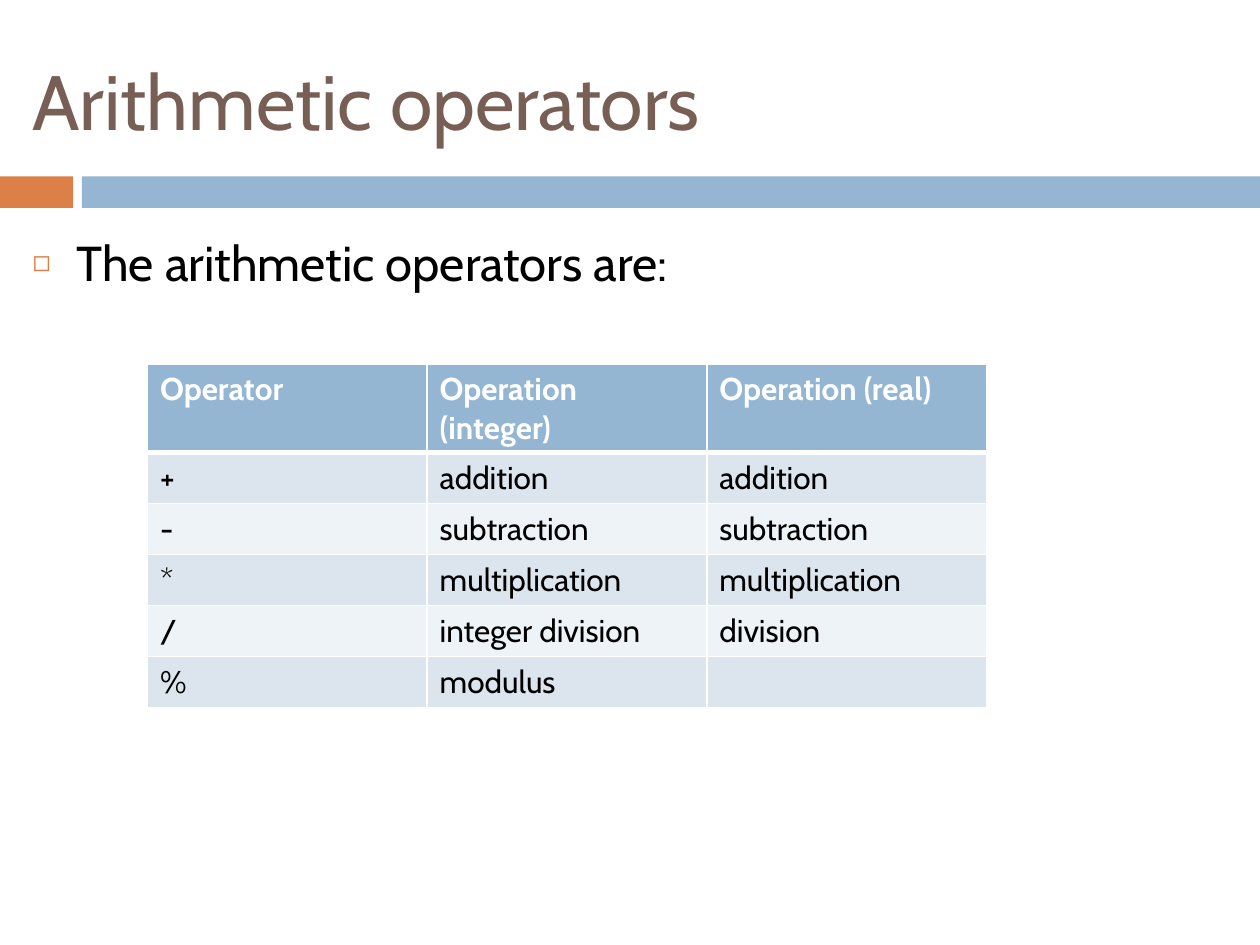
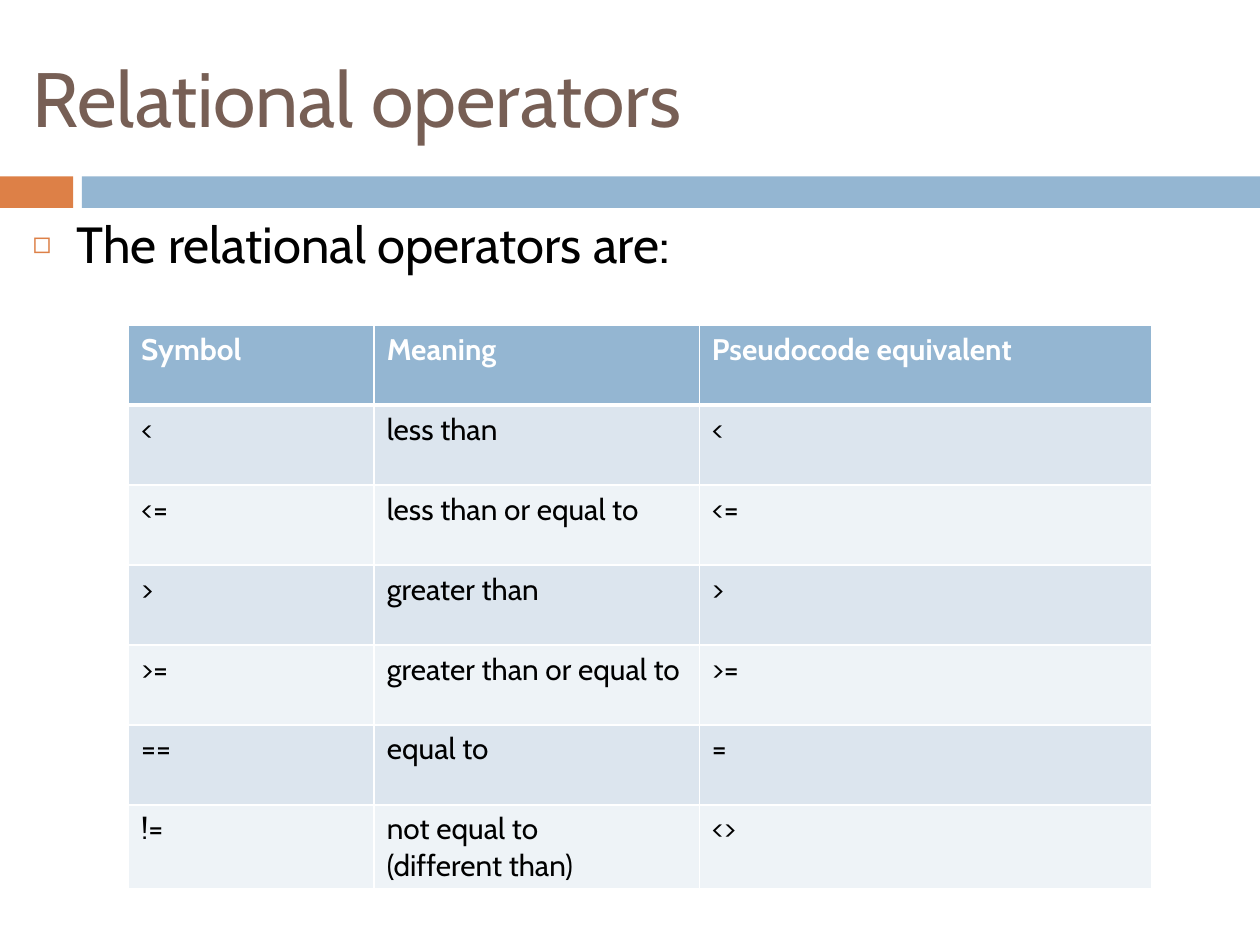
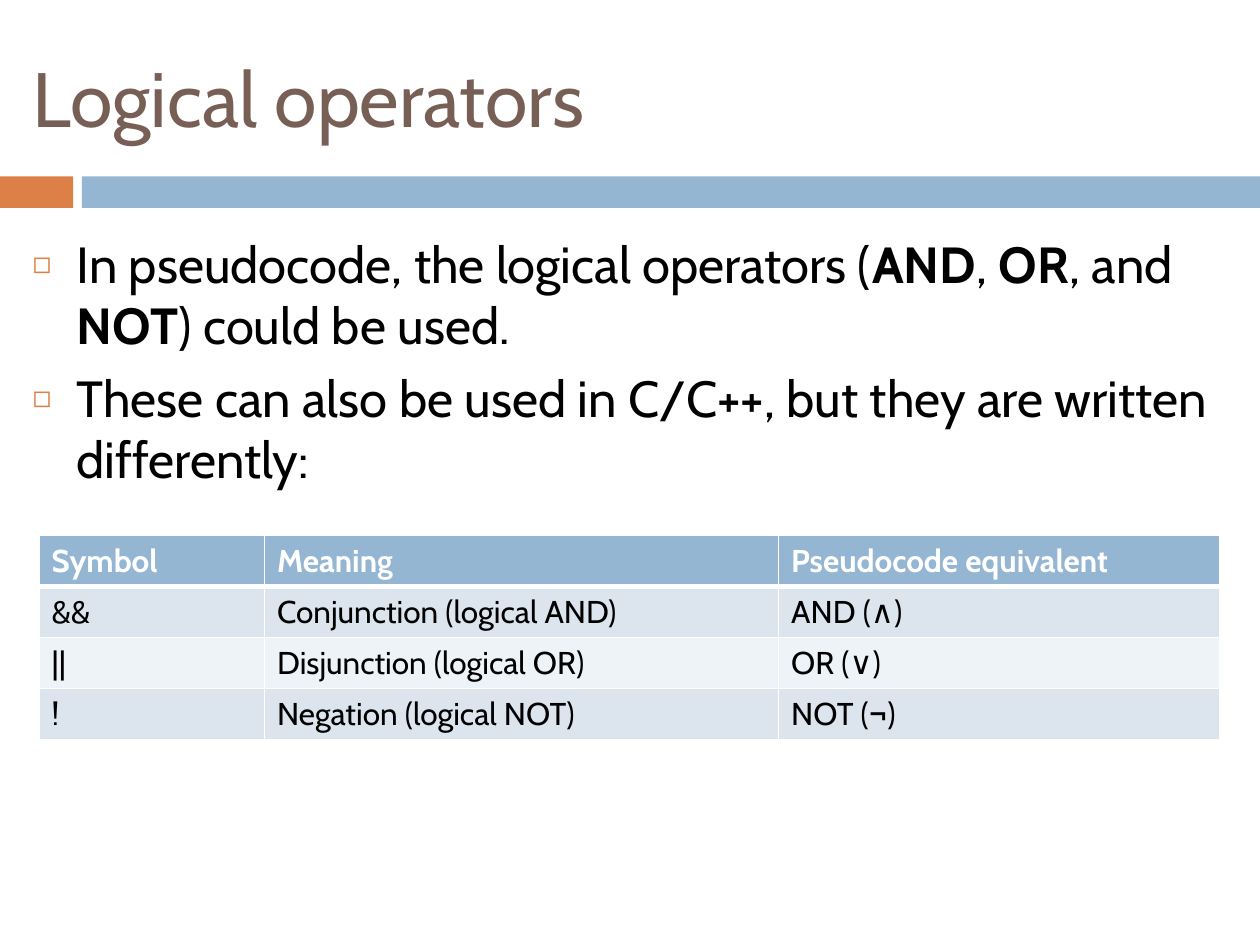
from lxml.etree import SubElement
from pptx import Presentation
from pptx.dml.color import RGBColor
from pptx.enum.shapes import MSO_SHAPE
from pptx.enum.text import MSO_ANCHOR
from pptx.oxml.ns import qn
from pptx.util import Inches, Pt

ORANGE = RGBColor(0xDD, 0x80, 0x47)
BLUE = RGBColor(0x94, 0xB6, 0xD2)
BROWN = RGBColor(0x77, 0x5F, 0x55)
DARK_ROW = RGBColor(0xDC, 0xE5, 0xEE)
LIGHT_ROW = RGBColor(0xEE, 0xF3, 0xF7)
WHITE = RGBColor(0xFF, 0xFF, 0xFF)
BLACK = RGBColor(0, 0, 0)

FONT = "Cabin"
WIDTH, HEIGHT = 10, 7.5
MARGIN = 0.16
BODY_WIDTH = 9.61
BAND_TOP, BAND_HEIGHT = 1.4, 0.25
BANDS = [(0, 0.58, ORANGE), (0.65, WIDTH - 0.65, BLUE)]

SLIDES = [
    {
        "title": "Arithmetic operators", "title_top": 0.25,
        "points": ["The arithmetic operators are:"],
        "points_top": 1.8, "points_size": 28,
        "corner": (1.17, 2.89), "columns": (2.22, 2.22, 2.22),
        "row_height": 0.405, "table_size": 18,
        "rows": [
            ("Operator", "Operation (integer)", "Operation (real)"),
            ("+", "addition", "addition"),
            ("-", "subtraction", "subtraction"),
            ("*", "multiplication", "multiplication"),
            ("/", "integer division", "division"),
            ("%", "modulus", ""),
        ],
    },
    {
        "title": "Relational operators", "title_top": 0.23,
        "points": ["The relational operators are:"],
        "points_top": 1.64, "points_size": 29,
        "corner": (1.02, 2.58), "columns": (1.95, 2.58, 3.59),
        "row_height": 0.635, "table_size": 17,
        "rows": [
            ("Symbol", "Meaning", "Pseudocode equivalent"),
            ("<", "less than", "<"),
            ("<=", "less than or equal to", "<="),
            (">", "greater than", ">"),
            (">=", "greater than or equal to", ">="),
            ("==", "equal to", "="),
            ("!=", "not equal to\n(different than)", "<>"),
        ],
    },
    {
        "title": "Logical operators", "title_top": 0.23,
        "points": [
            "In pseudocode, the logical operators (**AND**, **OR**, and **NOT**) could be used.",
            "These can also be used in C/C++, but they are written differently:",
        ],
        "points_top": 1.8, "points_size": 29,
        "corner": (0.31, 4.25), "columns": (1.79, 4.08, 3.5),
        "row_height": 0.405, "table_size": 18,
        "rows": [
            ("Symbol", "Meaning", "Pseudocode equivalent"),
            ("&&", "Conjunction (logical AND)", "AND (∧)"),
            ("||", "Disjunction (logical OR)", "OR (∨)"),
            ("!", "Negation (logical NOT)", "NOT (**¬**)"),
        ],
    },
]


def write(paragraph, text, size, color, bold=False):
    for line_number, line in enumerate(text.split("\n")):
        if line_number:
            paragraph.add_line_break()
        for part_number, part in enumerate(line.split("**")):
            if not part:
                continue
            run = paragraph.add_run()
            run.text = part
            look = {"name": FONT, "size": Pt(size), "bold": bold or part_number % 2 == 1}
            for key, value in look.items():
                setattr(run.font, key, value)
            run.font.color.rgb = color


def add_bullet(paragraph):
    properties = paragraph._p.get_or_add_pPr()
    properties.set("marL", str(Inches(0.35)))
    properties.set("indent", str(-Inches(0.35)))
    bullet_color = SubElement(properties, qn("a:buClr"))
    SubElement(bullet_color, qn("a:srgbClr"), val=str(ORANGE))
    SubElement(properties, qn("a:buSzPct"), val="60000")
    SubElement(properties, qn("a:buFont"), typeface=FONT)
    SubElement(properties, qn("a:buChar"), char="◻")


def add_frame(slide, left, top, width, height, anchor):
    frame = slide.shapes.add_textbox(*map(Inches, (left, top, width, height))).text_frame
    frame.word_wrap = True
    frame.vertical_anchor = anchor
    return frame


def add_bands(slide):
    for left, width, color in BANDS:
        band = slide.shapes.add_shape(
            MSO_SHAPE.RECTANGLE, *map(Inches, (left, BAND_TOP, width, BAND_HEIGHT)))
        band.shadow.inherit = False
        band.fill.solid()
        band.fill.fore_color.rgb = color
        band.line.fill.background()


def add_points(slide, content):
    top = content["points_top"]
    frame = add_frame(slide, MARGIN, top, BODY_WIDTH, HEIGHT - top, MSO_ANCHOR.TOP)
    for number, point in enumerate(content["points"]):
        paragraph = frame.add_paragraph() if number else frame.paragraphs[0]
        add_bullet(paragraph)
        if number:
            paragraph.space_before = Pt(7)
        write(paragraph, point, content["points_size"], BLACK)


def add_borders(cell, row):
    weights = {"L": 1, "R": 1, "T": 3 if row == 1 else 1, "B": 3 if row == 0 else 1}
    for side, weight in weights.items():
        border = SubElement(cell._tc.get_or_add_tcPr(), qn(f"a:ln{side}"), w=str(Pt(weight)))
        paint = SubElement(border, qn("a:solidFill"))
        SubElement(paint, qn("a:srgbClr"), val=str(WHITE))


def add_operators(slide, content):
    rows, columns = content["rows"], content["columns"]
    row_height = content["row_height"]
    table = slide.shapes.add_table(
        len(rows), len(columns),
        *map(Inches, (*content["corner"], sum(columns), row_height * len(rows)))).table
    for column, width in zip(table.columns, columns):
        column.width = Inches(width)
    for row, texts in enumerate(rows):
        table.rows[row].height = Inches(row_height)
        header = row == 0
        fill = BLUE if header else DARK_ROW if row % 2 else LIGHT_ROW
        for column, text in enumerate(texts):
            cell = table.cell(row, column)
            add_borders(cell, row)
            cell.fill.solid()
            cell.fill.fore_color.rgb = fill
            write(cell.text_frame.paragraphs[0], text, content["table_size"],
                  WHITE if header else BLACK, header)


def main():
    deck = Presentation()
    deck.slide_width, deck.slide_height = Inches(WIDTH), Inches(HEIGHT)
    for content in SLIDES:
        slide = deck.slides.add_slide(deck.slide_layouts[6])
        add_bands(slide)
        title = add_frame(
            slide, MARGIN, content["title_top"], WIDTH - MARGIN, 1.08, MSO_ANCHOR.MIDDLE)
        write(title.paragraphs[0], content["title"], 44, BROWN)
        add_points(slide, content)
        add_operators(slide, content)
    deck.save("out.pptx")


if __name__ == "__main__":
    main()
